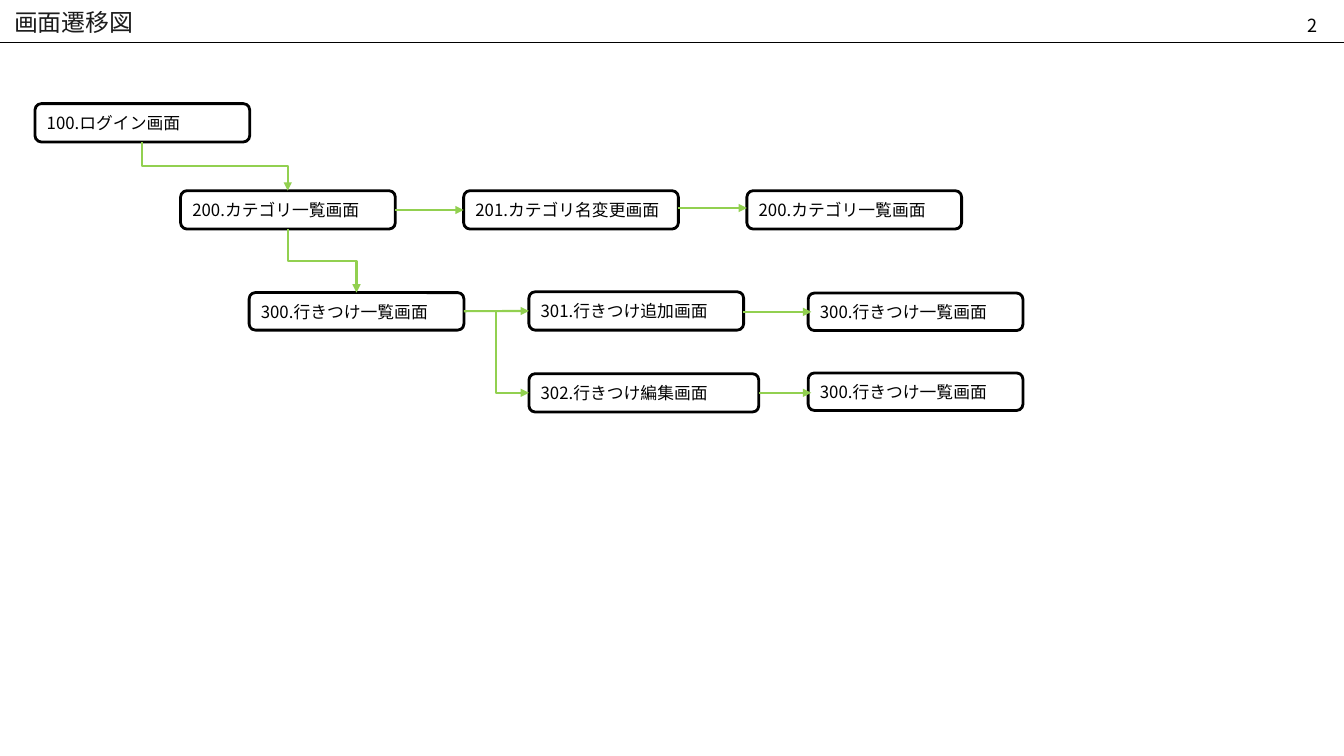
from dataclasses import dataclass

from lxml import etree
from pptx import Presentation
from pptx.dml.color import RGBColor
from pptx.enum.shapes import MSO_CONNECTOR, MSO_SHAPE
from pptx.enum.text import MSO_ANCHOR, MSO_AUTO_SIZE, PP_ALIGN
from pptx.oxml.ns import qn
from pptx.util import Pt

STRAIGHT, ELBOW = MSO_CONNECTOR.STRAIGHT, MSO_CONNECTOR.ELBOW
ROUNDED = MSO_SHAPE.ROUNDED_RECTANGLE
TOP, MIDDLE = MSO_ANCHOR.TOP, MSO_ANCHOR.MIDDLE
LEFT, RIGHT = PP_ALIGN.LEFT, PP_ALIGN.RIGHT
NO_AUTOFIT = MSO_AUTO_SIZE.NONE

FONT = "Noto Sans CJK JP"
COLORS = {"black": "000000", "white": "FFFFFF", "title": "1C1C1C", "arrow": "92D050"}
PAGE_WIDTH, PAGE_HEIGHT = 960, 540
RULE_Y = 30.2
QUARTER_TURN_BACK = str(270 * 60000)


@dataclass
class Screen:
    label: str
    left: float
    top: float
    width: float = 153.4
    height: float = 27.4


@dataclass
class Arrow:
    x1: float
    y1: float
    x2: float
    y2: float
    preset: str = "line"


LOGIN = "100.ログイン画面"
CATEGORIES = "200.カテゴリ一覧画面"
FAVOURITES = "300.行きつけ一覧画面"

SCREENS = [
    Screen(LOGIN, 25, 74),
    Screen(CATEGORIES, 129, 136.2),
    Screen("201.カテゴリ名変更画面", 331.2, 136.2),
    Screen(CATEGORIES, 533.5, 136.2),
    Screen(FAVOURITES, 178, 209, height=26.8),
    Screen("301.行きつけ追加画面", 377.8, 208.4),
    Screen(FAVOURITES, 577.3, 209.3, height=26.8),
    Screen("302.行きつけ編集画面", 377.8, 266.9, width=164.2),
    Screen(FAVOURITES, 577.3, 266.4, height=26.8),
]

ARROWS = [
    Arrow(282.4, 150, 331.2, 150),
    Arrow(484.6, 148.6, 533.5, 148.6),
    Arrow(331.4, 222.3, 377.8, 222.1),
    Arrow(531, 222.8, 579.5, 222.8),
    Arrow(542, 280.6, 579.5, 280.6),
    Arrow(101.5, 101.4, 205.6, 136.2, "bentConnector3"),
    Arrow(205.6, 163.7, 254.6, 209, "bentConnector3"),
    Arrow(354.3, 222.5, 377.8, 280.6, "bentConnector2"),
]


def color(name: str) -> RGBColor:
    return RGBColor.from_string(COLORS[name])


def write(box, text: str, size: float, color_name: str, align, anchor) -> None:
    frame = box.text_frame
    frame.word_wrap = True
    frame.auto_size = NO_AUTOFIT
    frame.vertical_anchor = anchor
    para = frame.paragraphs[0]
    para.alignment = align
    span = para.add_run()
    span.text = text
    span.font.size = Pt(size)
    span.font.color.rgb = color(color_name)
    span.font.name = FONT
    etree.SubElement(span.font._element, qn("a:ea"), typeface=FONT)


def draw_line(page, kind, start: tuple, end: tuple, color_name: str, weight: float):
    line = page.shapes.add_connector(kind, *(Pt(value) for value in start + end))
    line.line.color.rgb = color(color_name)
    line.line.width = Pt(weight)
    etree.SubElement(line._element.spPr, qn("a:effectLst"))
    return line


def draw_arrow(page, arrow: Arrow) -> None:
    """Elbows leave downwards: a sideways one is mirrored and turned by 270 degrees."""
    start, end = (arrow.x1, arrow.y1), (arrow.x2, arrow.y2)
    bent = arrow.preset != "line"
    if bent:
        across, down = arrow.x2 - arrow.x1, arrow.y2 - arrow.y1
        middle_x, middle_y = (arrow.x1 + arrow.x2) / 2, (arrow.y1 + arrow.y2) / 2
        start = (middle_x + down / 2, middle_y - across / 2)
        end = (middle_x - down / 2, middle_y + across / 2)
    line = draw_line(page, ELBOW if bent else STRAIGHT, start, end, "arrow", 1.5)
    if bent:
        properties = line._element.spPr
        properties.find(qn("a:xfrm")).set("rot", QUARTER_TURN_BACK)
        properties.find(qn("a:prstGeom")).set("prst", arrow.preset)
    etree.SubElement(line.line._get_or_add_ln(), qn("a:tailEnd"), type="triangle")


def draw_screen(page, screen: Screen) -> None:
    box = page.shapes.add_shape(
        ROUNDED, Pt(screen.left), Pt(screen.top), Pt(screen.width), Pt(screen.height)
    )
    box.shadow.inherit = False
    box.fill.solid()
    box.fill.fore_color.rgb = color("white")
    box.line.color.rgb = color("black")
    box.line.width = Pt(2)
    write(box, screen.label, 12, "black", LEFT, MIDDLE)


def draw_header(page) -> None:
    draw_line(page, STRAIGHT, (0, RULE_Y), (PAGE_WIDTH, RULE_Y), "black", 0.75)
    number = page.shapes.add_textbox(Pt(724.3), Pt(6.5), Pt(224), Pt(10.8))
    write(number, "2", 12.9, "black", RIGHT, TOP)
    title = page.shapes.title
    title.left, title.top, title.width, title.height = Pt(0), Pt(2.9), Pt(864), Pt(25.2)
    frame = title.text_frame
    frame.margin_left = frame.margin_right = Pt(10)
    frame.margin_top = frame.margin_bottom = Pt(5)
    write(title, "画面遷移図", 17.1, "title", LEFT, MIDDLE)


def main() -> None:
    deck = Presentation()
    deck.slide_width, deck.slide_height = Pt(PAGE_WIDTH), Pt(PAGE_HEIGHT)
    page = deck.slides.add_slide(deck.slide_layouts.get_by_name("Title Only"))
    draw_header(page)
    for screen in SCREENS:
        draw_screen(page, screen)
    for arrow in ARROWS:
        draw_arrow(page, arrow)
    deck.save("out.pptx")


if __name__ == "__main__":
    main()
